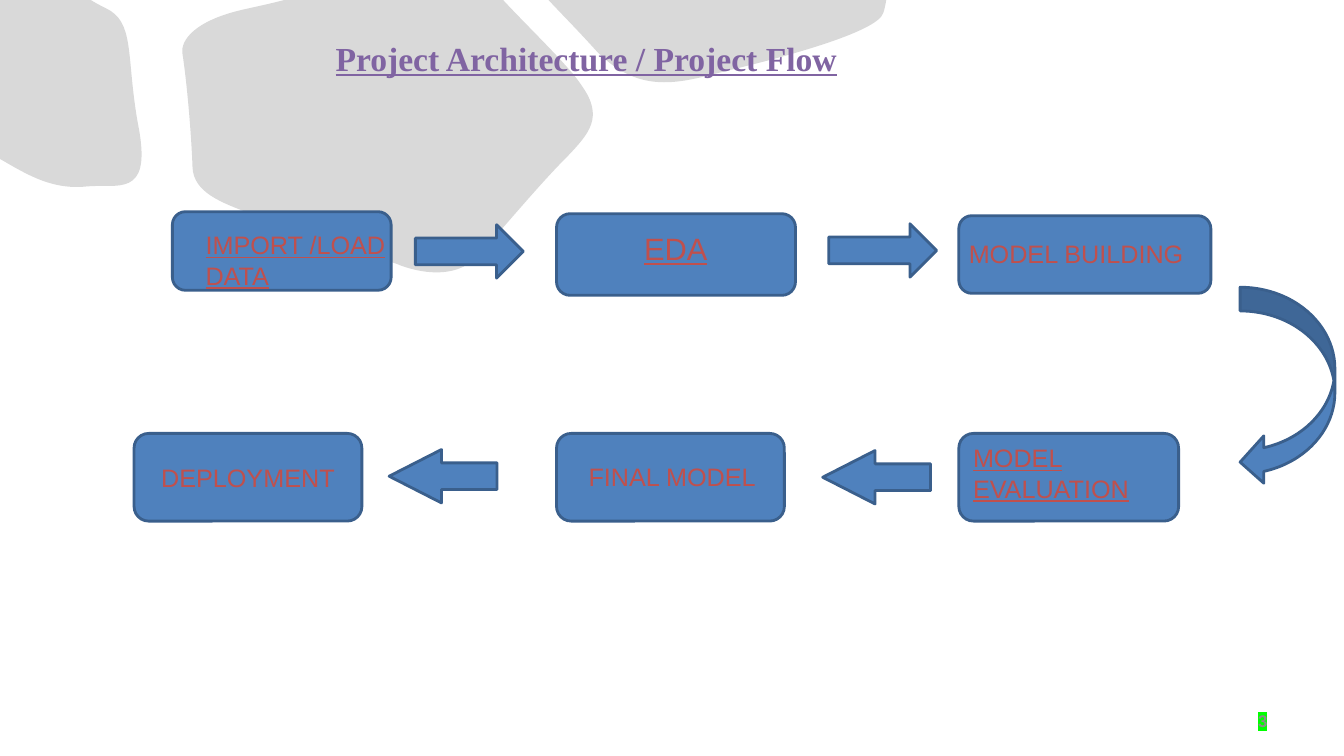
from dataclasses import dataclass

from lxml import etree
from pptx import Presentation, util as u
from pptx.dml.color import RGBColor
from pptx.enum import shapes, text
from pptx.oxml.ns import qn


@dataclass(frozen=True)
class Theme:
    stone: str = "D9D9D9"
    step: str = "4F81BD"
    edge: str = "3A5F8C"
    label: str = "C0504D"
    heading: str = "8064A2"
    page: str = "8C8C8C"
    marker: str = "00FF00"
    body_font: str = "Arial"
    heading_font: str = "Times New Roman"
    heading_size: int = 24
    large_size: int = 22
    label_size: int = 18
    page_size: int = 12
    edge_width: int = 2


THEME = Theme()
ARROW_SIZE = (1.07, 0.53)
LONG_HEAD = (0.5, 0.98)


def write(frame, words, size=THEME.label_size, color=THEME.label,
          font=THEME.body_font, bold=False, underline=False, highlight=None,
          align=text.PP_ALIGN.LEFT, anchor=text.MSO_ANCHOR.TOP, spacing=None,
          fit=text.MSO_AUTO_SIZE.NONE):
    frame.word_wrap = True
    frame.auto_size = fit
    frame.vertical_anchor = anchor
    paragraph = frame.paragraphs[0]
    paragraph.alignment = align
    paragraph.line_spacing = spacing
    run = paragraph.add_run()
    run.text = words
    run.font.size = u.Pt(size)
    run.font.name = font
    run.font.bold = bold
    run.font.underline = underline
    run.font.color.rgb = RGBColor.from_string(color)
    if highlight:
        marker = etree.Element(qn("a:highlight"))
        etree.SubElement(marker, qn("a:srgbClr")).set("val", highlight)
        run.font._element.find(qn("a:solidFill")).addnext(marker)


class FlowSlide:
    def __init__(self, deck, theme):
        self.theme = theme
        self.slide = deck.slides.add_slide(deck.slide_layouts[6])

    def stone(self, start, *segments):
        points = [(u.Inches(x), u.Inches(y)) for segment in (start, *segments)
                  for x, y in zip(segment[::2], segment[1::2])]
        builder = self.slide.shapes.build_freeform(*points[0])
        builder.add_line_segments(points[1:], close=True)
        outline = builder.convert_to_shape()
        sides = iter(list(outline._element.iter(qn("a:lnTo"))))
        for segment in segments:
            side = next(sides)
            if len(segment) == 6:
                side.addprevious(curve := etree.Element(qn("a:cubicBezTo")))
                for control in (side, next(sides), next(sides)):
                    curve.append(control[0])
                    control.getparent().remove(control)
        outline.shadow.inherit = False
        outline.fill.solid()
        outline.fill.fore_color.rgb = RGBColor.from_string(self.theme.stone)
        outline.line.fill.background()

    def block(self, kind, left, top, width, height, adjustments=()):
        block = self.slide.shapes.add_shape(kind, *map(u.Inches, (left, top, width, height)))
        block.shadow.inherit = False
        block.fill.solid()
        block.fill.fore_color.rgb = RGBColor.from_string(self.theme.step)
        block.line.color.rgb = RGBColor.from_string(self.theme.edge)
        block.line.width = u.Pt(self.theme.edge_width)
        for index, value in enumerate(adjustments):
            block.adjustments[index] = value
        return block

    def step(self, *box, words=None, **style):
        step = self.block(shapes.MSO_SHAPE.FLOWCHART_ALTERNATE_PROCESS, *box)
        if words:
            write(step.text_frame, words, **style)

    def arrow(self, kind, left, top, adjustments=(0.5, 0.5)):
        self.block(kind, left, top, *ARROW_SIZE, adjustments)

    def label(self, words, left, top, width, height,
              fit=text.MSO_AUTO_SIZE.SHAPE_TO_FIT_TEXT, **style):
        label = self.slide.shapes.add_textbox(*map(u.Inches, (left, top, width, height)))
        write(label.text_frame, words, fit=fit, **style)


def main():
    deck = Presentation()
    deck.slide_width, deck.slide_height = u.Inches(13.33), u.Inches(7.5)
    flow = FlowSlide(deck, THEME)

    flow.stone((5.44, 0), (5.57, 0.14, 5.73, 0.3, 5.91, 0.5),
               (6.37, 0.98, 6.8, 0.8, 7.26, 0.69),
               (7.76, 0.57, 8.7, 0.32, 8.76, 0.13),
               (8.77, 0.1, 8.78, 0.06, 8.79, 0))
    flow.stone((1.1, 0.11), (1.05, 0.08, 0.98, 0.05, 0.9, 0), (-0.03, 0), (-0.03, 1.56),
               (0.22, 1.7, 0.49, 1.89, 0.86, 1.85),
               (1.16, 1.82, 1.5, 1.97, 1.38, 1.29),
               (1.25, 0.62, 1.34, 0.27, 1.1, 0.11))
    flow.stone((4.99, 0), (2.82, 0), (2.67, 0.04, 2.52, 0.07, 2.39, 0.1),
               (1.93, 0.21, 1.79, 0.4, 1.81, 0.53),
               (1.86, 0.86, 1.9, 1.37, 1.91, 1.66),
               (1.92, 1.91, 2.2, 2.01, 2.46, 2.11),
               (2.69, 2.2, 3.71, 2.54, 3.94, 2.62),
               (3.94, 2.62, 4.45, 2.85, 4.74, 2.54),
               (5.03, 2.22, 5.35, 1.83, 5.62, 1.56),
               (5.85, 1.32, 5.99, 1.16, 5.77, 0.85),
               (5.65, 0.66, 5.23, 0.26, 4.99, 0))

    flow.label("Project Architecture / Project Flow", 3.23, 0.37, 5.83, 0.46,
               size=THEME.heading_size, font=THEME.heading_font,
               color=THEME.heading, bold=True, underline=True, spacing=0.9)

    flow.step(1.71, 2.1, 2.17, 0.78)
    flow.step(5.52, 2.12, 2.37, 0.81)
    flow.step(9.51, 2.14, 2.5, 0.77)
    flow.step(9.51, 4.3, 2.18, 0.87, words="MODEL EVALUATION", underline=True)
    flow.step(5.52, 4.3, 2.26, 0.87)

    flow.label("EDA", 6.29, 2.23, 0.83, 0.47, size=THEME.large_size, underline=True)
    flow.label("IMPORT /LOAD DATA", 1.94, 2.23, 2.29, 0.7, underline=True)
    flow.label("MODEL BUILDING", 9.51, 2.32, 2.55, 0.4)
    flow.label(" FINAL MODEL", 5.67, 4.53, 1.99, 0.4)

    flow.arrow(shapes.MSO_SHAPE.RIGHT_ARROW, 4.12, 2.23)
    flow.arrow(shapes.MSO_SHAPE.RIGHT_ARROW, 8.22, 2.22)
    flow.arrow(shapes.MSO_SHAPE.LEFT_ARROW, 8.16, 4.47, LONG_HEAD)
    flow.block(shapes.MSO_SHAPE.CURVED_LEFT_ARROW, 12.3, 2.85, 0.94, 1.97, (0.25, 0.5, 0.25))

    flow.label("3", 9.56, 6.95, 3.11, 0.4, size=THEME.page_size, color=THEME.page,
               bold=True, highlight=THEME.marker, align=text.PP_ALIGN.RIGHT,
               anchor=text.MSO_ANCHOR.MIDDLE, fit=text.MSO_AUTO_SIZE.NONE)

    flow.arrow(shapes.MSO_SHAPE.LEFT_ARROW, 3.86, 4.46, LONG_HEAD)
    flow.step(1.33, 4.3, 2.26, 0.87, words="DEPLOYMENT",
              align=text.PP_ALIGN.CENTER, anchor=text.MSO_ANCHOR.MIDDLE)
    deck.save("out.pptx")


if __name__ == "__main__":
    main()
